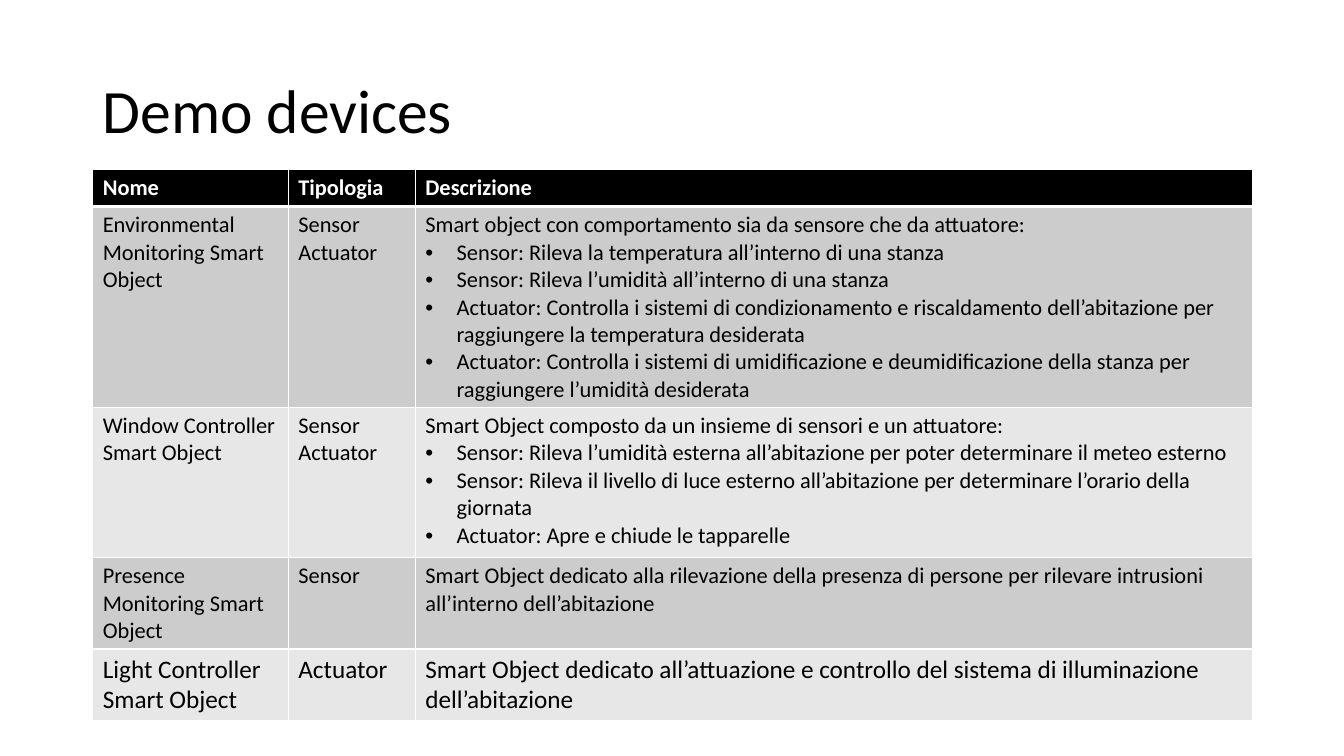
from lxml import etree
from pptx import Presentation
from pptx.dml.color import RGBColor
from pptx.enum.text import MSO_ANCHOR
from pptx.oxml.ns import qn
from pptx.util import Inches, Pt

COLORS = {"black": "000000", "white": "FFFFFF", "dark": "CCCCCC", "light": "E7E7E7"}
FONT = "Calibri"
BULLET = "• "

DEVICES = [
    (["Nome"], ["Tipologia"], ["Descrizione"]),
    (
        ["Environmental Monitoring Smart Object"],
        ["Sensor", "Actuator"],
        [
            "Smart object con comportamento sia da sensore che da attuatore:",
            "• Sensor: Rileva la temperatura all’interno di una stanza",
            "• Sensor: Rileva l’umidità all’interno di una stanza",
            "• Actuator: Controlla i sistemi di condizionamento e riscaldamento "
            "dell’abitazione per raggiungere la temperatura desiderata",
            "• Actuator: Controlla i sistemi di umidificazione e deumidificazione "
            "della stanza per raggiungere l’umidità desiderata",
        ],
    ),
    (
        ["Window Controller", "Smart Object"],
        ["Sensor", "Actuator"],
        [
            "Smart Object composto da un insieme di sensori e un attuatore:",
            "• Sensor: Rileva l’umidità esterna all’abitazione per poter "
            "determinare il meteo esterno",
            "• Sensor: Rileva il livello di luce esterno all’abitazione per "
            "determinare l’orario della giornata",
            "• Actuator: Apre e chiude le tapparelle",
        ],
    ),
    (
        ["Presence Monitoring Smart Object"],
        ["Sensor"],
        [
            "Smart Object dedicato alla rilevazione della presenza di persone "
            "per rilevare intrusioni all’interno dell’abitazione"
        ],
    ),
    (
        ["Light Controller Smart Object"],
        ["Actuator"],
        [
            "Smart Object dedicato all’attuazione e controllo del sistema di "
            "illuminazione dell’abitazione"
        ],
    ),
]
COL_WIDTHS = [1.94, 1.26, 8.3]
ROW_HEIGHTS = [0.37, 1.99, 1.49, 0.91, 0.71]
ROW_FILLS = ["black", "dark", "light", "dark", "light"]
ROW_SIZES = [16, 16, 16, 16, 18]


def add_run(p, text, size, color, bold=False):
    r = p.add_run()
    r.text = text
    r.font.name = FONT
    r.font.size = Pt(size)
    r.font.bold = bold
    r.font.color.rgb = RGBColor.from_string(COLORS[color])


def add_borders(cell, bottom_width):
    tcPr = cell._tc.get_or_add_tcPr()
    for i, side in enumerate(["lnL", "lnR", "lnT", "lnB"]):
        width = bottom_width if side == "lnB" else 1
        ln = etree.Element(qn(f"a:{side}"), w=str(Pt(width)))
        fill = etree.SubElement(ln, qn("a:solidFill"))
        etree.SubElement(fill, qn("a:srgbClr"), val=COLORS["white"])
        tcPr.insert(i, ln)


prs = Presentation()
prs.slide_width = Inches(13.33)
prs.slide_height = Inches(7.5)
s = prs.slides.add_slide(prs.slide_layouts[6])

title = s.shapes.add_textbox(Inches(0.92), Inches(0.4), Inches(11.5), Inches(1.45))
tf = title.text_frame
tf.word_wrap = True
tf.vertical_anchor = MSO_ANCHOR.MIDDLE
tf.paragraphs[0].line_spacing = 0.9
add_run(tf.paragraphs[0], "Demo devices", 44, "black")

table = s.shapes.add_table(
    len(DEVICES), len(COL_WIDTHS), Inches(0.92), Inches(1.68),
    Inches(sum(COL_WIDTHS)), Inches(sum(ROW_HEIGHTS)),
).table
for col, width in zip(table.columns, COL_WIDTHS):
    col.width = Inches(width)

for i, device in enumerate(DEVICES):
    table.rows[i].height = Inches(ROW_HEIGHTS[i])
    header = i == 0
    for j, lines in enumerate(device):
        cell = table.cell(i, j)
        cell.fill.solid()
        cell.fill.fore_color.rgb = RGBColor.from_string(COLORS[ROW_FILLS[i]])
        add_borders(cell, 3 if header else 1)
        if i == 1:
            cell._tc.tcPr.find(qn("a:lnT")).set("w", str(Pt(3)))
        tf = cell.text_frame
        for k, line in enumerate(lines):
            p = tf.add_paragraph() if k else tf.paragraphs[0]
            if line.startswith(BULLET):
                pPr = p._p.get_or_add_pPr()
                pPr.set("marL", str(Inches(0.31)))
                pPr.set("indent", str(Inches(-0.31)))
                etree.SubElement(pPr, qn("a:buFont"), typeface="Arial")
                etree.SubElement(pPr, qn("a:buChar"), char="•")
            add_run(p, line.removeprefix(BULLET), ROW_SIZES[i],
                    "white" if header else "black", header)

prs.save("out.pptx")
